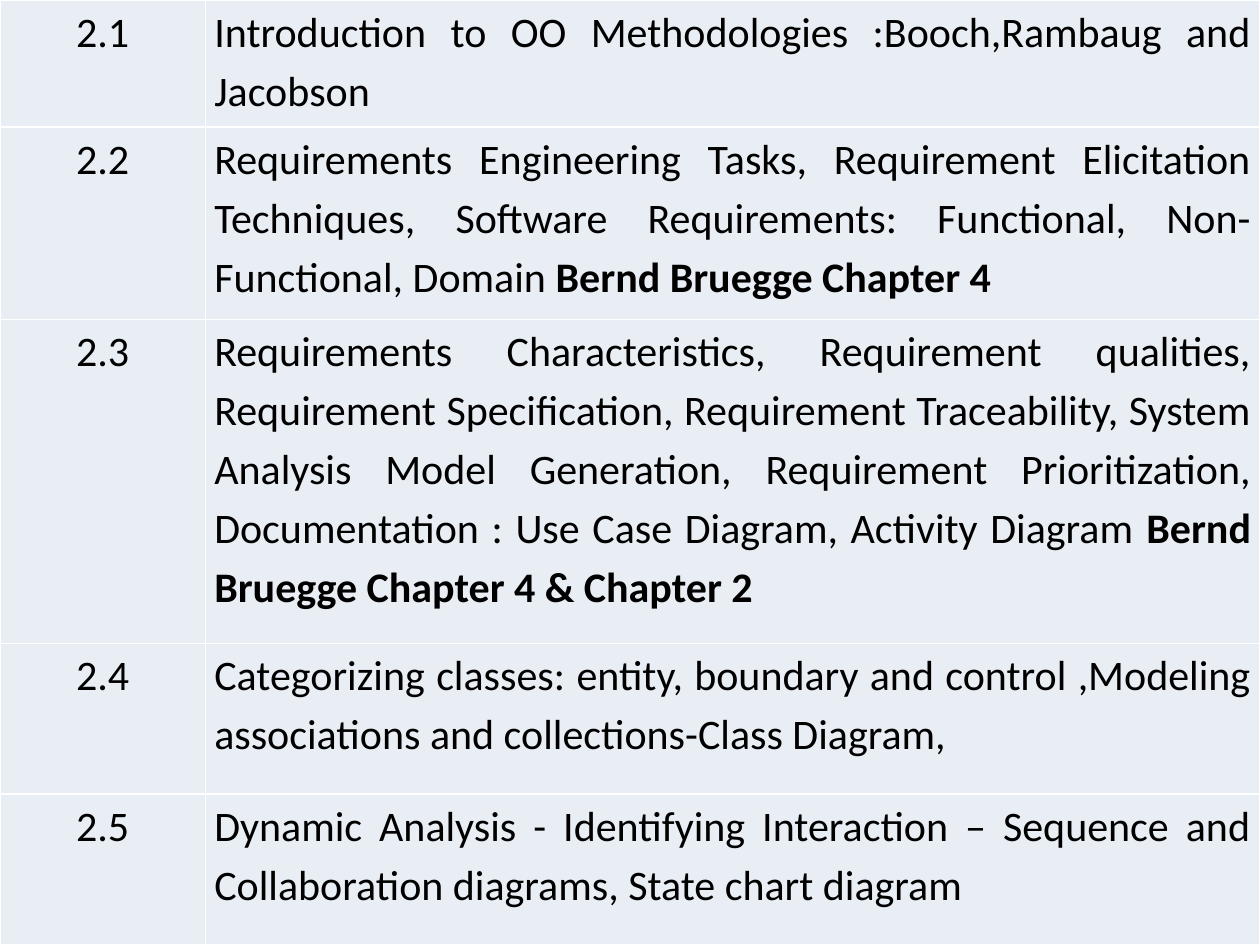
from lxml.etree import SubElement as Sub
from pptx import Presentation
from pptx.dml.color import RGBColor as Rgb
from pptx.enum.text import MSO_ANCHOR as Anchor, PP_ALIGN as Align
from pptx.oxml.ns import qn
from pptx.util import Cm, Pt

HUES = {"ink": "000000", "cell": "E9EDF4", "rule": "FFFFFF"}
WIDE, HIGH = 25.4, 19.05
COLS = (4.14, 21.26)
ROWS = (2.56, 3.88, 6.53, 3.04, 3.04)
TOPICS = [
    ("2.1", "Introduction to OO Methodologies :Booch,Rambaug and Jacobson", ""),
    ("2.2", "Requirements Engineering Tasks, Requirement Elicitation Techniques, "
     "Software Requirements: Functional, Non-Functional, Domain ",
     "Bernd Bruegge Chapter 4"),
    ("2.3", "Requirements Characteristics, Requirement qualities, "
     "Requirement Specification, Requirement Traceability, System Analysis "
     "Model Generation, Requirement Prioritization, Documentation : "
     "Use Case Diagram, Activity Diagram ",
     "Bernd Bruegge Chapter 4 & Chapter 2"),
    ("2.4", "Categorizing classes: entity, boundary and control ,Modeling "
     "associations and collections-Class Diagram,", ""),
    ("2.5", "Dynamic Analysis - Identifying Interaction – Sequence and "
     "Collaboration diagrams, State chart diagram", ""),
]


def write(para, text, size=24, bold=False, hue="ink", face="Calibri"):
    run = para.add_run()
    run.text = text
    font = run.font
    font.size, font.bold, font.name = Pt(size), bold, face
    font.color.rgb = Rgb.from_string(HUES[hue])


def frame(cell):
    props = cell._tc.get_or_add_tcPr()
    for side in ("lnL", "lnR", "lnT", "lnB"):
        line = Sub(props, qn(f"a:{side}"), w=str(Pt(1)))
        fill = Sub(line, qn("a:solidFill"))
        Sub(fill, qn("a:srgbClr"), val=HUES["rule"])
    cell.fill.solid()
    cell.fill.fore_color.rgb = Rgb.from_string(HUES["cell"])


def put(cell, plain, strong="", align=Align.JUSTIFY):
    frame(cell)
    cell.margin_left = cell.margin_right = Cm(0.18)
    cell.margin_top = cell.margin_bottom = 0
    cell.vertical_anchor = Anchor.TOP
    para = cell.text_frame.paragraphs[0]
    para.alignment, para.line_spacing = align, 1.15
    write(para, plain)
    if strong:
        write(para, strong, bold=True)


def topics(slide, left, top, width, height):
    shape = slide.shapes.add_table(len(ROWS), len(COLS), Cm(left), Cm(top),
                                   Cm(width), Cm(height))
    table = shape.table
    table.first_row = table.horz_banding = False
    for col, size in zip(table.columns, COLS):
        col.width = Cm(width * size / sum(COLS))
    for row, size, (label, plain, strong) in zip(table.rows, ROWS, TOPICS):
        row.height = Cm(height * size / sum(ROWS))
        put(row.cells[0], label, align=Align.CENTER)
        put(row.cells[1], plain, strong)


def main():
    deck = Presentation()
    deck.slide_width, deck.slide_height = Cm(WIDE), Cm(HIGH)
    slide = deck.slides.add_slide(deck.slide_layouts[6])
    topics(slide, 0, 0, WIDE, HIGH)
    deck.save("out.pptx")


if __name__ == "__main__":
    main()
